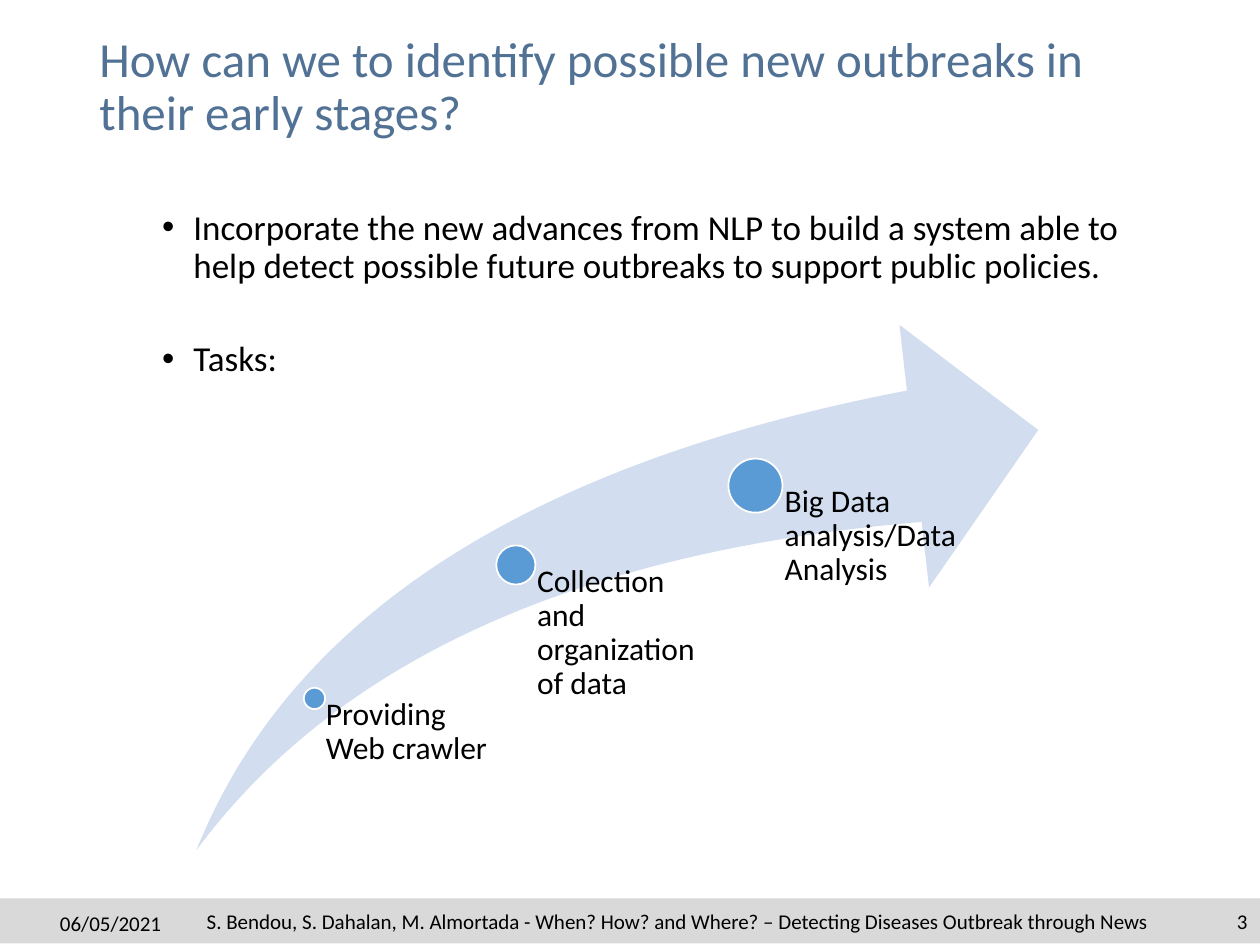
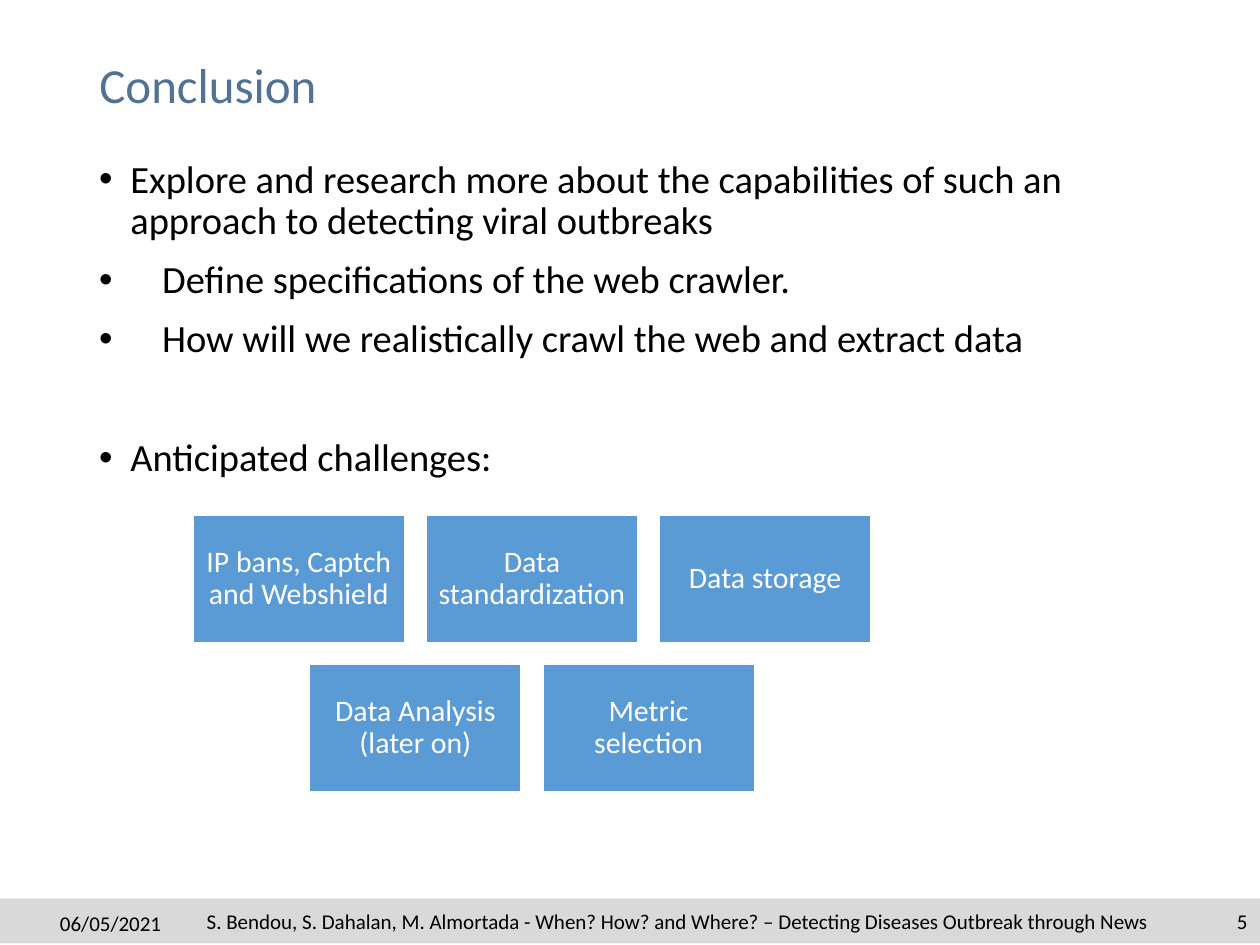
"""Build two slides on spotting disease outbreaks through the news."""
from pptx import Presentation
from pptx import util as u
from pptx.dml.color import RGBColor
from pptx.enum import shapes, text
from pptx.oxml.ns import qn
from lxml import etree

LEFT, MID, RIGHT = text.PP_ALIGN.LEFT, text.PP_ALIGN.CENTER, text.PP_ALIGN.RIGHT
TOP, CENTER = text.MSO_ANCHOR.TOP, text.MSO_ANCHOR.MIDDLE
KIND = shapes.MSO_SHAPE


def color(code):
    return RGBColor.from_string(code)


class Deck:
    font = "Calibri"
    blue, pale, slate = "5B9BD5", "D2DEEF", "517294"
    gray, black, white = "D9D9D9", "000000", "FFFFFF"
    date = "06/05/2021"
    credit = ("S. Bendou, S. Dahalan, M. Almortada - When? How? and Where? "
              "– Detecting Diseases Outbreak through News")

    def __init__(self):
        self.prs = Presentation()
        self.prs.slide_width, self.prs.slide_height = u.Cm(25.4), u.Cm(19.05)

    def page(self, title, number):
        layout = self.prs.slide_layouts[5]
        self.slide = self.prs.slides.add_slide(layout)
        self.shape(KIND.RECTANGLE, (0, 18.11, 25.4, 0.91), self.gray)
        head = self.slide.shapes.title
        head.left, head.top = u.Cm(1.75), u.Cm(1.02)
        head.width, head.height = u.Cm(20.96), u.Cm(1.5)
        self.style(head, [title], 28, self.slate, anchor=CENTER)
        self.label(number, (23.72, 18.14, 1.68, 0.91), 12, RIGHT, CENTER)
        self.label(self.date, (0.81, 18.24, 2.84, 0.81), 12, MID, CENTER)
        self.label(self.credit, (3.76, 18.14, 19.81, 0.91), 12, MID, CENTER)

    def style(self, shape, lines, size, tint, align=LEFT, anchor=TOP, inset=None):
        frame = shape.text_frame
        frame.text = "\n".join(lines)
        frame.word_wrap = True
        frame.auto_size = text.MSO_AUTO_SIZE.NONE
        frame.vertical_anchor = anchor
        if inset:
            (frame.margin_left, frame.margin_top,
             frame.margin_right, frame.margin_bottom) = map(u.Cm, inset)
        for para in frame.paragraphs:
            para.alignment = align
            para.line_spacing = 0.9
            for run in para.runs:
                run.font.name = self.font
                run.font.size = u.Pt(size)
                run.font.color.rgb = color(tint)
        return frame

    def label(self, words, box, size, align=LEFT, anchor=TOP, inset=None):
        shape = self.slide.shapes.add_textbox(*map(u.Cm, box))
        self.style(shape, [words], size, self.black, align, anchor, inset)

    def shape(self, kind, box, fill, line=None):
        shape = self.slide.shapes.add_shape(kind, *map(u.Cm, box))
        shape.shadow.inherit = False
        shape.fill.solid()
        shape.fill.fore_color.rgb = color(fill)
        if line:
            shape.line.color.rgb = color(line)
            shape.line.width = u.Pt(1)
        else:
            shape.line.fill.background()
        return shape

    def bullets(self, top, size, items):
        box = self.slide.shapes.add_textbox(
            u.Cm(1.75), u.Cm(top), u.Cm(21.89), u.Cm(17.15 - top))
        frame = self.style(box, [item[0] for item in items], size, self.black)
        for para, (_, left, hang, gap) in zip(frame.paragraphs, items):
            para.space_before = u.Pt(gap)
            props = para._p.get_or_add_pPr()
            props.set("marL", str(u.Cm(left)))
            props.set("indent", str(-u.Cm(hang)))
            etree.SubElement(props, qn("a:buFont")).set("typeface", "Arial")
            etree.SubElement(props, qn("a:buChar")).set("char", "•")

    def swoosh(self, steps):
        arrow = self.shape(KIND.SWOOSH_ARROW, (3.96, 6.55, 16.97, 10.59), self.pale)
        arrow.adjustments[0] = arrow.adjustments[1] = 0.25
        for words, x, y, dot, width in steps:
            self.shape(KIND.OVAL, (x - dot / 2, y - dot / 2, dot, dot),
                       self.blue, self.white)
            self.label(words, (x, y, width, 17.15 - y), 18,
                       inset=(dot * 0.54, 0, 0, 0))

    def grid(self, rows):
        wide, high, gap = 4.27, 2.57, 0.43
        most = max(map(len, rows))
        for r, row in enumerate(rows):
            shift = (most - len(row)) / 2
            for c, words in enumerate(row):
                box = (3.89 + (c + shift) * (wide + gap),
                       10.39 + r * (high + gap), wide, high)
                tile = self.shape(KIND.RECTANGLE, box, self.blue, self.white)
                self.style(tile, [words], 17, self.white, MID, CENTER, [0.18] * 4)


def main():
    deck = Deck()
    deck.page("How can we to identify possible new outbreaks in their early stages?", "3")
    deck.bullets(4.11, 20, [
        ("Incorporate the new advances from NLP to build a system able to help "
         "detect possible future outbreaks to support public policies.", 1.9, 0.63, 0),
        ("Tasks:", 1.9, 0.63, 32),
    ])
    deck.swoosh([
        ("Providing Web crawler", 6.34, 14.08, 0.43, 3.8),
        ("Collection and organization of data", 10.4, 11.39, 0.79, 3.9),
        ("Big Data analysis/Data Analysis", 15.23, 9.79, 1.09, 4.1),
    ])
    deck.page("Conclusion", "5")
    deck.bullets(3.1, 22, [
        ("Explore and research more about the capabilities of such an approach "
         "to detecting viral outbreaks", 0.63, 0.63, 0),
        ("Define specifications of the web crawler.", 1.27, 1.27, 10),
        ("How will we realistically crawl the web and extract data", 1.27, 1.27, 10),
        ("Anticipated challenges:", 0.63, 0.63, 44),
    ])
    deck.grid([
        ["IP bans, Captch and Webshield", "Data standardization", "Data storage"],
        ["Data Analysis (later on)", "Metric selection"],
    ])
    deck.prs.save("out.pptx")


if __name__ == "__main__":
    main()
